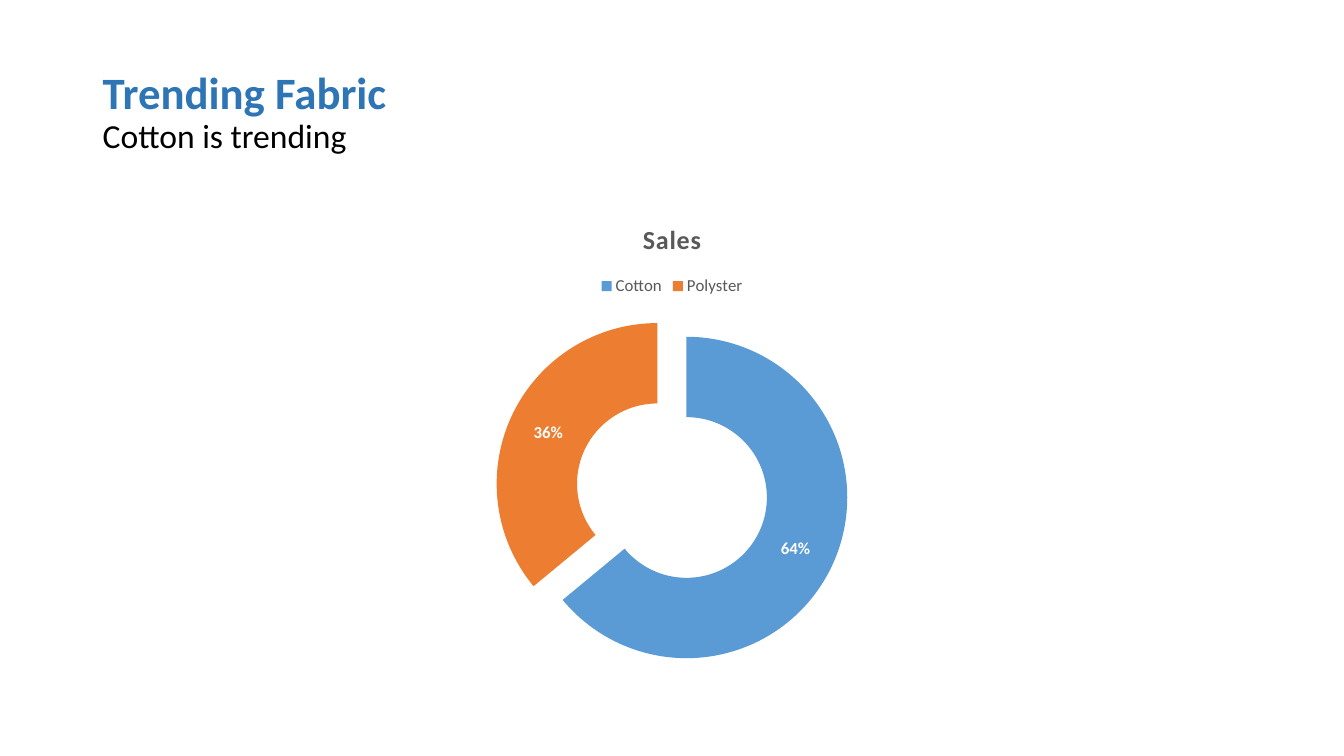
from lxml import etree
from pptx import Presentation
from pptx.chart.data import CategoryChartData
from pptx.dml.color import RGBColor
from pptx.enum.chart import XL_CHART_TYPE, XL_LEGEND_POSITION
from pptx.enum.text import MSO_ANCHOR
from pptx.oxml.ns import qn
from pptx.util import Inches, Pt

DOUGHNUT = XL_CHART_TYPE.DOUGHNUT
TOP = XL_LEGEND_POSITION.TOP
MIDDLE = MSO_ANCHOR.MIDDLE

COLORS = {
    "heading": "2E75B6",
    "black": "000000",
    "gray": "595959",
    "white": "FFFFFF",
    "Cotton": "5B9BD5",
    "Polyster": "ED7D31",
}
HEADING = [
    ("Trending Fabric", {"size": 32, "bold": True, "color": "heading"}),
    ("Cotton is trending", {"size": 24, "bold": False, "color": "black"}),
]
SERIES = "Sales"
SHARES = {"Cotton": 64, "Polyster": 36}
EXPLOSION = 20

WIDTH, HEIGHT = 13.33, 7.5
MARGIN = 0.92
CONTENT_WIDTH = WIDTH - 2 * MARGIN
TITLE_TOP, TITLE_HEIGHT = 0.4, 1.45
CHART_TOP, CHART_HEIGHT = 2, 4.76


def style(font, size, color, bold=False):
    values = {"name": "Calibri", "size": Pt(size), "bold": bold}
    for name, value in values.items():
        setattr(font, name, value)
    font.color.rgb = RGBColor.from_string(COLORS[color])


def band(top, height):
    return [Inches(length) for length in (MARGIN, top, CONTENT_WIDTH, height)]


def add_heading(page):
    box = page.shapes.add_textbox(*band(TITLE_TOP, TITLE_HEIGHT))
    frame = box.text_frame
    frame.word_wrap = True
    frame.vertical_anchor = MIDDLE
    para = frame.paragraphs[0]
    para.line_spacing = 0.9
    for index, (text, look) in enumerate(HEADING):
        if index:
            para.add_line_break()
        span = para.add_run()
        span.text = text
        style(span.font, **look)


def add_sales_chart(page):
    data = CategoryChartData()
    data.categories = list(SHARES)
    data.add_series(SERIES, list(SHARES.values()))
    chart = page.shapes.add_chart(DOUGHNUT, *band(CHART_TOP, CHART_HEIGHT), data).chart
    style(chart.font, 10, "black")

    chart.has_title = True
    para = chart.chart_title.text_frame.paragraphs[0]
    span = para.add_run()
    span.text = SERIES
    style(span.font, 18.6, "gray", True)
    span.font._element.set("spc", "50")
    chart.chart_title.include_in_layout = False

    chart.has_legend = True
    chart.legend.position = TOP
    chart.legend.include_in_layout = False
    style(chart.legend.font, 12, "gray")

    plot = chart.plots[0]
    plot.vary_by_categories = True
    series = plot.series[0]
    for index, name in enumerate(SHARES):
        fill = series.points[index].format.fill
        fill.solid()
        fill.fore_color.rgb = RGBColor.from_string(COLORS[name])
    explosion = etree.Element(qn("c:explosion"), val=str(EXPLOSION))
    series._element.find(qn("c:dPt")).addprevious(explosion)

    labels = series.data_labels
    labels.show_value = False
    labels.show_percentage = True
    labels.number_format = "0%"
    labels.number_format_is_linked = False
    style(labels.font, 12, "white", True)


def main():
    deck = Presentation()
    deck.slide_width, deck.slide_height = Inches(WIDTH), Inches(HEIGHT)
    page = deck.slides.add_slide(deck.slide_layouts[6])
    add_heading(page)
    add_sales_chart(page)
    deck.save("out.pptx")


if __name__ == "__main__":
    main()
